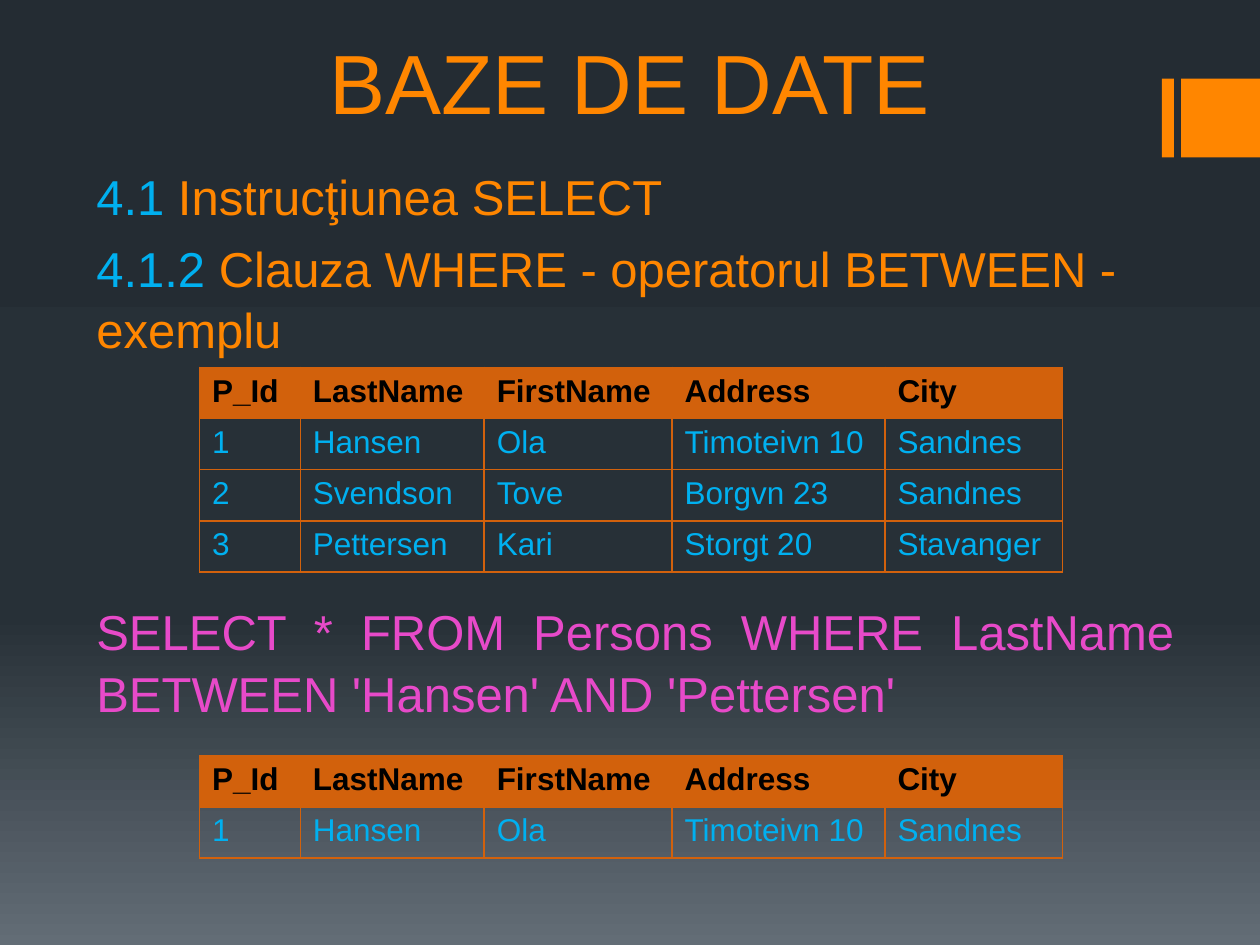
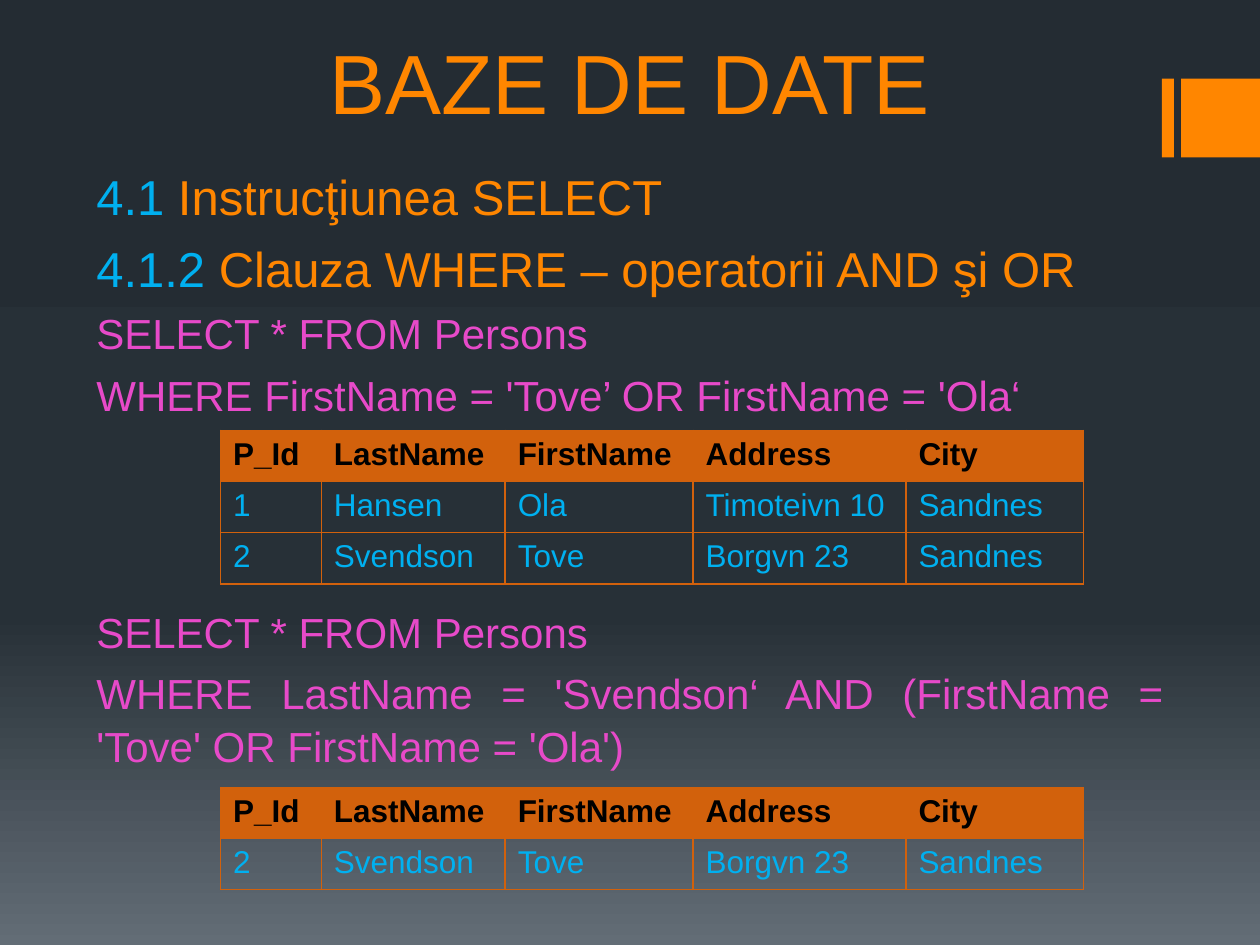
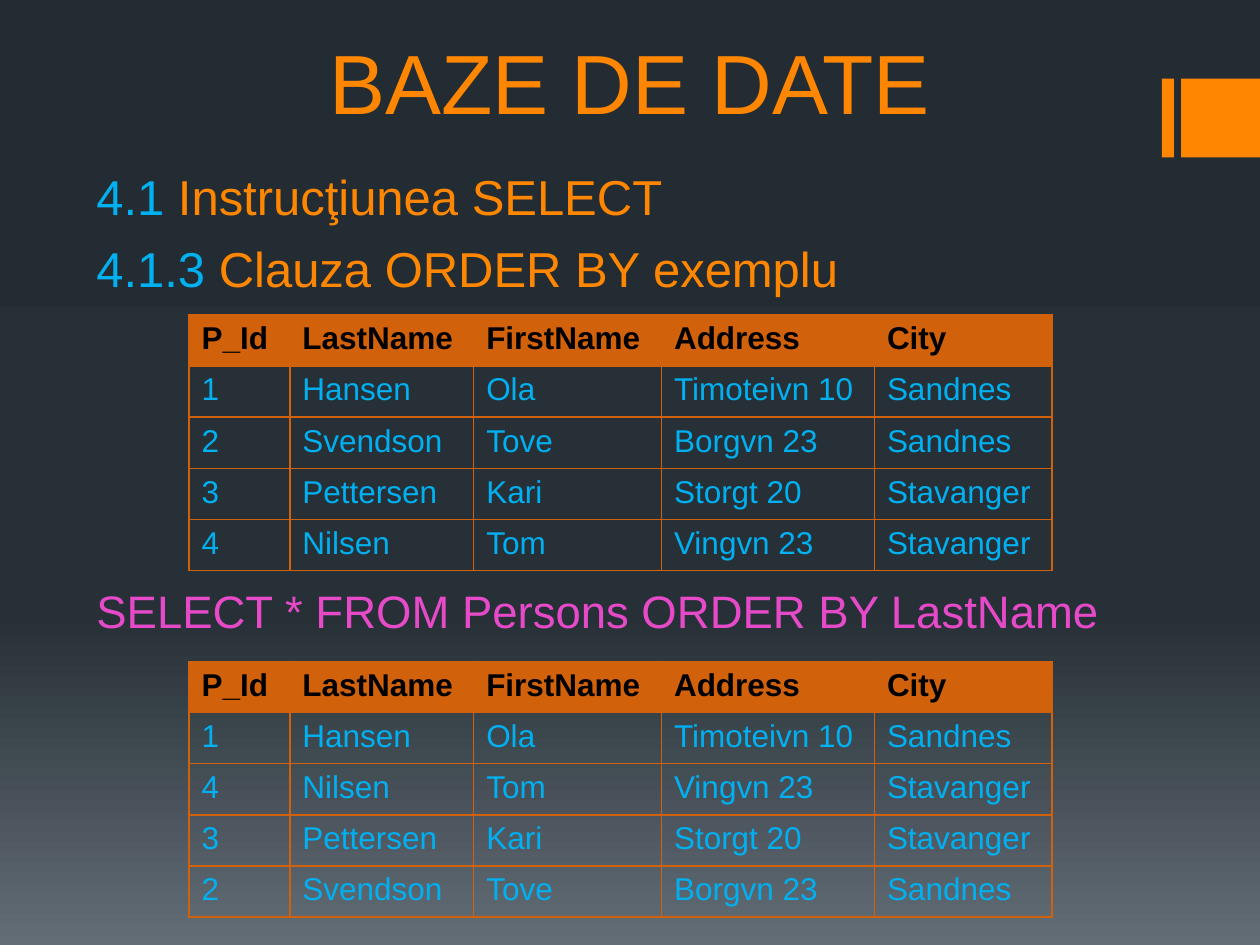
import copy
from dataclasses import dataclass

import pptx
import pptx.dml.color
import pptx.enum.shapes
import pptx.enum.text
import pptx.oxml
import pptx.oxml.ns
import pptx.presentation
import pptx.slide
import pptx.table
import pptx.text.text
import pptx.util

Pt = pptx.util.Pt
Align = pptx.enum.text.PP_ALIGN

FONT = "Arial"
ORANGE = "FF8600"
BLUE = "00B0F0"
PINK = "E74AC9"
RUST = "D2610C"
BLACK = "000000"
BACKDROP = [(0, "242C33"), (0.65, "273037"), (1, "636D76")]

COLUMN_WIDTHS = [57.6, 105.1, 107.3, 121.7, 101.5]
ROW_HEIGHT = 29.2
LINE_SPACING = 1.05
SPACE_RATIO = 0.2

FIELDS = ("P_Id", "LastName", "FirstName", "Address", "City")
HANSEN = ("1", "Hansen", "Ola", "Timoteivn 10", "Sandnes")
SVENDSON = ("2", "Svendson", "Tove", "Borgvn 23", "Sandnes")
PETTERSEN = ("3", "Pettersen", "Kari", "Storgt 20", "Stavanger")
NILSEN = ("4", "Nilsen", "Tom", "Vingvn 23", "Stavanger")


@dataclass(frozen=True)
class Accent:
    left: float
    width: float


@dataclass(frozen=True)
class Line:
    text: str
    number: str = ""
    size: float = 28
    color: str = ORANGE
    align: Align = Align.JUSTIFY
    gap: float | None = None


@dataclass(frozen=True)
class Records:
    top: float
    people: tuple[tuple[str, ...], ...]


@dataclass(frozen=True)
class Lesson:
    lines: tuple[Line, ...]
    body_width: float
    records_left: float
    records: tuple[Records, ...]


ACCENTS = [Accent(664, 6.9), Accent(675, 45)]
SECTION = Line("Instrucţiunea SELECT", "4.1 ")

LESSONS = [
    Lesson(
        lines=(
            SECTION,
            Line("Clauza WHERE - operatorul BETWEEN - exemplu", "4.1.2 ", align=Align.LEFT),
            Line(
                "SELECT * FROM Persons WHERE LastName BETWEEN 'Hansen' AND 'Pettersen'",
                color=PINK,
                gap=137,
            ),
        ),
        body_width=630,
        records_left=114,
        records=(
            Records(210, (HANSEN, SVENDSON, PETTERSEN)),
            Records(432, (HANSEN,)),
        ),
    ),
    Lesson(
        lines=(
            SECTION,
            Line("Clauza WHERE – operatorii AND şi OR", "4.1.2 "),
            Line("SELECT * FROM Persons", size=24, color=PINK),
            Line("WHERE FirstName = 'Tove’ OR FirstName = 'Ola‘", size=24, color=PINK),
            Line("SELECT * FROM Persons", size=24, color=PINK, gap=105.5),
            Line(
                "WHERE LastName = 'Svendson‘ AND (FirstName = 'Tove' OR FirstName = 'Ola')",
                size=24,
                color=PINK,
            ),
        ),
        body_width=624,
        records_left=126,
        records=(
            Records(246, (HANSEN, SVENDSON)),
            Records(450, (SVENDSON,)),
        ),
    ),
    Lesson(
        lines=(
            SECTION,
            Line("Clauza ORDER BY exemplu", "4.1.3 "),
            Line("SELECT * FROM Persons ORDER BY LastName", size=26, color=PINK, gap=162),
        ),
        body_width=624,
        records_left=108,
        records=(
            Records(180, (HANSEN, SVENDSON, PETTERSEN, NILSEN)),
            Records(378, (HANSEN, NILSEN, PETTERSEN, SVENDSON)),
        ),
    ),
]


def rgb(value: str) -> pptx.dml.color.RGBColor:
    return pptx.dml.color.RGBColor.from_string(value)


def write(
    paragraph: pptx.text.text._Paragraph,
    text: str,
    *,
    size: float,
    color: str,
    bold: bool = False,
) -> None:
    run = paragraph.add_run()
    run.text = text
    run.font.name = FONT
    run.font.size = Pt(size)
    run.font.bold = bold
    run.font.color.rgb = rgb(color)


def paint_backdrop(master: pptx.slide.SlideMaster) -> None:
    fill = master.background.fill
    fill.gradient()
    fill.gradient_angle = 270
    stops = master.element.find(".//" + pptx.oxml.ns.qn("a:gsLst"))
    stops.append(copy.deepcopy(stops[-1]))
    for stop, (position, color) in zip(fill.gradient_stops, BACKDROP):
        stop.position = position
        stop.color.rgb = rgb(color)


def draw_accent(slide: pptx.slide.Slide, accent: Accent) -> None:
    bar = slide.shapes.add_shape(
        pptx.enum.shapes.MSO_SHAPE.RECTANGLE,
        Pt(accent.left), Pt(45), Pt(accent.width), Pt(45),
    )
    bar.shadow.inherit = False
    bar.fill.solid()
    bar.fill.fore_color.rgb = rgb(ORANGE)
    bar.line.fill.background()


def add_frame(
    slide: pptx.slide.Slide, left: float, top: float, width: float, height: float
) -> pptx.text.text.TextFrame:
    frame = slide.shapes.add_textbox(Pt(left), Pt(top), Pt(width), Pt(height)).text_frame
    frame.word_wrap = True
    return frame


def draw_title(slide: pptx.slide.Slide) -> None:
    frame = add_frame(slide, 54, 0, 612, 78.5)
    frame.vertical_anchor = pptx.enum.text.MSO_ANCHOR.BOTTOM
    heading = frame.paragraphs[0]
    heading.alignment = Align.CENTER
    write(heading, "BAZE DE DATE", size=48, color=ORANGE)


def draw_lines(slide: pptx.slide.Slide, lesson: Lesson) -> None:
    frame = add_frame(slide, 48, 90, lesson.body_width, 402)
    for index, line in enumerate(lesson.lines):
        paragraph = frame.add_paragraph() if index else frame.paragraphs[0]
        paragraph.alignment = line.align
        paragraph.line_spacing = LINE_SPACING
        if index:
            gap = line.size * SPACE_RATIO if line.gap is None else line.gap
            paragraph.space_before = Pt(gap)
        if line.number:
            write(paragraph, line.number, size=line.size, color=BLUE)
        write(paragraph, line.text, size=line.size, color=line.color)


def outline(cell: pptx.table._Cell) -> None:
    properties = cell._tc.get_or_add_tcPr()
    for index, side in enumerate(("lnL", "lnR", "lnT", "lnB")):
        border = pptx.oxml.parse_xml(
            f'<a:{side} {pptx.oxml.ns.nsdecls("a")} w="{Pt(1)}">'
            f'<a:solidFill><a:srgbClr val="{RUST}"/></a:solidFill></a:{side}>'
        )
        properties.insert(index, border)


def draw_records(slide: pptx.slide.Slide, left: float, records: Records) -> None:
    rows = (FIELDS, *records.people)
    table = slide.shapes.add_table(
        len(rows), len(FIELDS), Pt(left), Pt(records.top),
        Pt(sum(COLUMN_WIDTHS)), Pt(ROW_HEIGHT * len(rows)),
    ).table
    table.horz_banding = False
    for column, width in zip(table.columns, COLUMN_WIDTHS):
        column.width = Pt(width)
    for row_index, values in enumerate(rows):
        is_header = row_index == 0
        table.rows[row_index].height = Pt(ROW_HEIGHT)
        for cell, value in zip(table.rows[row_index].cells, values):
            if is_header:
                cell.fill.solid()
                cell.fill.fore_color.rgb = rgb(RUST)
            else:
                cell.fill.background()
            outline(cell)
            write(
                cell.text_frame.paragraphs[0], value,
                size=18, color=BLACK if is_header else BLUE, bold=is_header,
            )


def draw_lesson(deck: pptx.presentation.Presentation, lesson: Lesson) -> None:
    slide = deck.slides.add_slide(deck.slide_layouts[6])
    for accent in ACCENTS:
        draw_accent(slide, accent)
    draw_title(slide)
    draw_lines(slide, lesson)
    for records in lesson.records:
        draw_records(slide, lesson.records_left, records)


def main() -> None:
    deck = pptx.Presentation()
    deck.slide_width = Pt(720)
    deck.slide_height = Pt(540)
    paint_backdrop(deck.slide_master)
    for lesson in LESSONS:
        draw_lesson(deck, lesson)
    deck.save("out.pptx")


if __name__ == "__main__":
    main()
